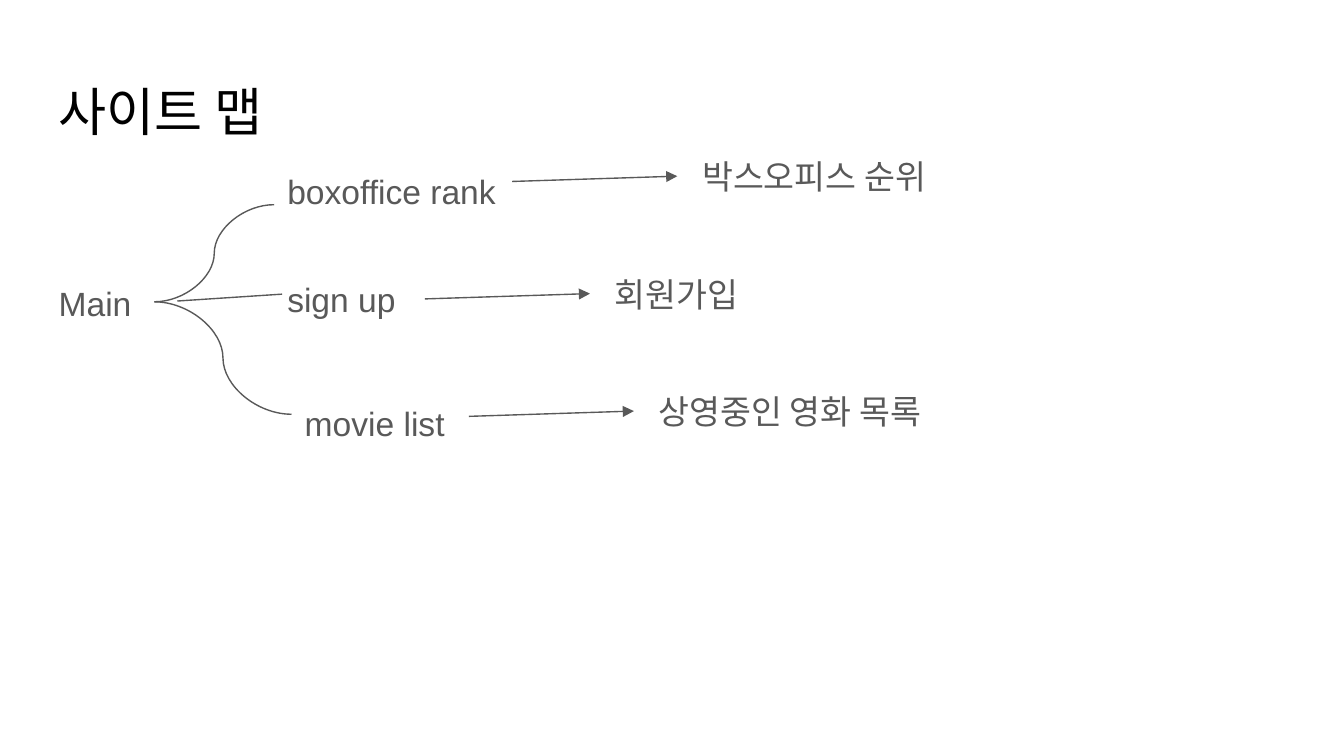
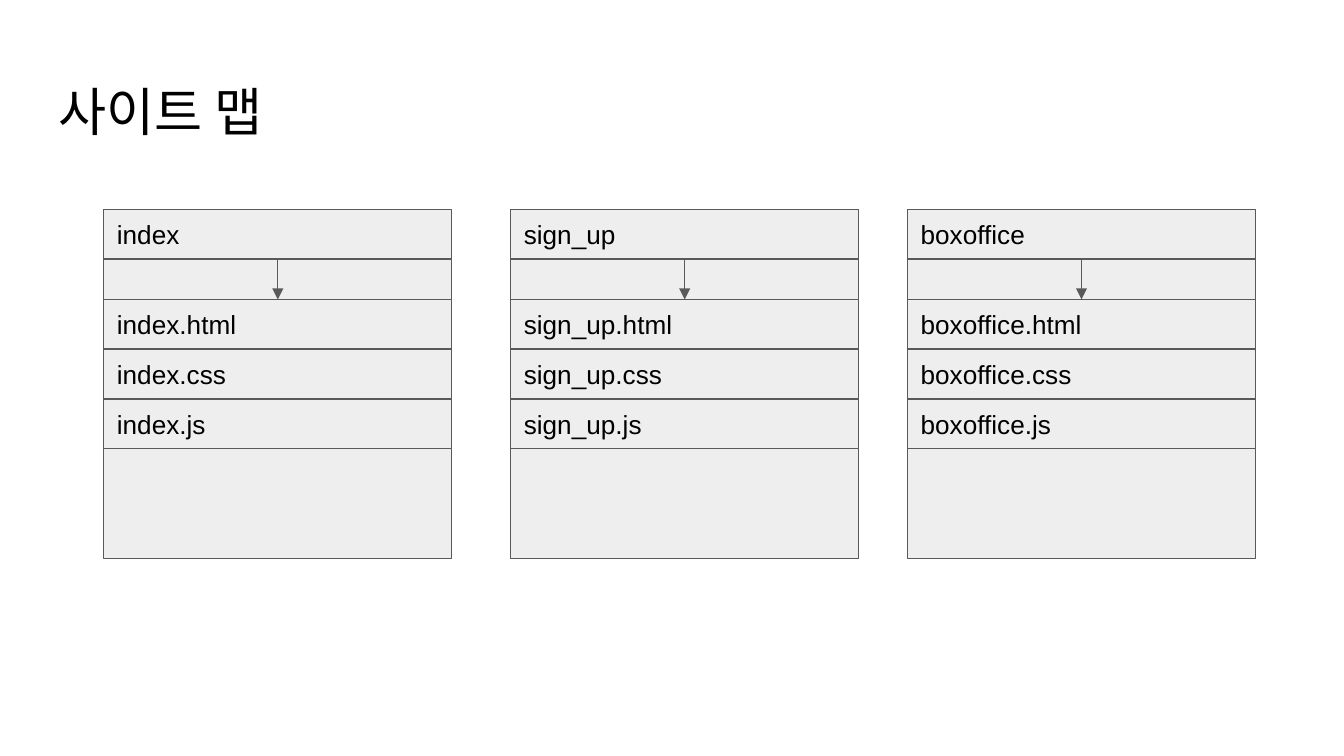
from collections import namedtuple
from dataclasses import dataclass

from lxml import etree
from pptx import Presentation
from pptx.dml.color import RGBColor
from pptx.enum.shapes import MSO_CONNECTOR, MSO_SHAPE
from pptx.enum.text import MSO_ANCHOR, MSO_AUTO_SIZE, PP_ALIGN
from pptx.oxml.ns import qn
from pptx.util import Cm, Pt

STRAIGHT, CURVE = MSO_CONNECTOR.STRAIGHT, MSO_CONNECTOR.CURVE
RECT = MSO_SHAPE.RECTANGLE
TOP, MIDDLE = MSO_ANCHOR.TOP, MSO_ANCHOR.MIDDLE
LEFT = PP_ALIGN.LEFT
NO_FIT = MSO_AUTO_SIZE.NONE
TOP_SIDE, LEFT_SIDE, BOTTOM_SIDE, RIGHT_SIDE = range(4)
TITLE_ONLY = 5


@dataclass(frozen=True)
class Theme:
    font: str = "Arial"
    black: RGBColor = RGBColor(0x00, 0x00, 0x00)
    gray: RGBColor = RGBColor(0x59, 0x59, 0x59)
    panel: RGBColor = RGBColor(0xEE, 0xEE, 0xEE)
    title_size: Pt = Pt(28)
    label_size: Pt = Pt(18)
    row_size: Pt = Pt(14)
    line: Pt = Pt(0.75)
    inset: Cm = Cm(0.25)


THEME = Theme()
Box = namedtuple("Box", "x y w h")
Page = namedtuple("Page", "name label_box arrow_x result")

TITLE_BOX = Box(Cm(0.86), Cm(1.24), Cm(23.67), Cm(1.6))
MAP_BOX = Box(Cm(0.86), Cm(2.59), Cm(23.67), Cm(8))

# Label boxes and arrow starts are measured from the corner of the map.
PAGES = [
    Page("boxoffice rank", Box(Cm(4.32), Cm(0.28), Cm(5.2), Cm(2)),
         Cm(8.82), "박스오피스 순위"),
    Page("sign up", Box(Cm(4.32), Cm(2.31), Cm(4.78), Cm(2.1)),
         Cm(7.17), "회원가입"),
    Page("movie list", Box(Cm(4.65), Cm(4.67), Cm(4.78), Cm(1.14)),
         Cm(8), "상영중인 영화 목록"),
]
CARDS = [("index", Cm(1.96)), ("sign_up", Cm(9.65)), ("boxoffice", Cm(17.15))]


def write(sp, text, size, color, anchor=TOP):
    tf = sp.text_frame
    tf.word_wrap = True
    tf.auto_size = NO_FIT
    tf.vertical_anchor = anchor
    tf.margin_left = tf.margin_right = THEME.inset
    tf.margin_top = tf.margin_bottom = THEME.inset
    p = tf.paragraphs[0]
    p.alignment = LEFT
    r = p.add_run()
    r.text = text
    r.font.name = THEME.font
    r.font.size = size
    r.font.color.rgb = color
    return p


def add_titled_slide(prs, title):
    s = prs.slides.add_slide(prs.slide_layouts[TITLE_ONLY])
    sp = s.shapes.title
    sp.left, sp.top, sp.width, sp.height = TITLE_BOX
    write(sp, title, THEME.title_size, THEME.black)
    return s


def add_label(s, text, box):
    sp = s.shapes.add_textbox(*box)
    p = write(sp, text, THEME.label_size, THEME.gray)
    p.line_spacing = 1.15
    p.space_after = Pt(16)
    return sp


def add_line(s, kind=STRAIGHT, ends=(0, 0, 0, 0), arrow=False):
    line = s.shapes.add_connector(kind, *ends)
    line.line.color.rgb = THEME.gray
    line.line.width = THEME.line
    if arrow:
        etree.SubElement(line.line._get_or_add_ln(), qn("a:tailEnd"),
                         type="triangle")
    etree.SubElement(line._element.spPr, qn("a:effectLst"))
    return line


def join(line, start, start_side, end, end_side):
    line.begin_connect(start, start_side)
    line.end_connect(end, end_side)


def add_panel(s, box, text=None):
    sp = s.shapes.add_shape(RECT, *box)
    sp.shadow.inherit = False
    sp.fill.solid()
    sp.fill.fore_color.rgb = THEME.panel
    sp.line.color.rgb = THEME.gray
    sp.line.width = THEME.line
    if text:
        write(sp, text, THEME.row_size, THEME.black, MIDDLE)
    return sp


def add_site_map(s, box):
    """Main on the left, its pages in the middle, what they show on the right."""
    row_pitch, arrow_top = Cm(2.22), Cm(0.84)
    arrow_run, arrow_rise, result_gap = Cm(3.12), Cm(0.1), Cm(0.22)
    root = add_label(s, "Main", Box(box.x, box.y + Cm(2.39), Cm(2.06), Cm(1.45)))

    for i, page in enumerate(PAGES):
        x, y, w, h = page.label_box
        label = add_label(s, page.name, Box(box.x + x, box.y + y, w, h))
        if i == 1:
            add_line(s, ends=(box.x + Cm(2.49), box.y + Cm(3.1),
                              box.x + Cm(4.47), box.y + Cm(2.97)))
        else:
            join(add_line(s, CURVE), root, RIGHT_SIDE, label, LEFT_SIDE)

        top = box.y + i * row_pitch
        start_x, start_y = box.x + page.arrow_x, top + arrow_top
        end_x = start_x + arrow_run
        add_line(s, ends=(start_x, start_y, end_x, start_y - arrow_rise),
                 arrow=True)
        add_label(s, page.result, Box(end_x + result_gap, top, Cm(7.32), Cm(2.26)))


def add_file_card(s, name, box):
    """A page name with an arrow down to the files that make it up."""
    row_h, gap = Cm(0.94), Cm(0.76)
    add_panel(s, box)
    header = add_panel(s, Box(box.x, box.y, box.w, row_h), name)
    files_top = box.y + row_h + gap
    files = [
        add_panel(s, Box(box.x, files_top + i * row_h, box.w, row_h),
                  f"{name}.{ext}")
        for i, ext in enumerate(("html", "css", "js"))
    ]
    join(add_line(s, arrow=True), header, BOTTOM_SIDE, files[0], TOP_SIDE)


def main():
    prs = Presentation()
    prs.slide_width, prs.slide_height = Cm(25.4), Cm(14.29)

    s = add_titled_slide(prs, "사이트 맵")
    add_site_map(s, MAP_BOX)

    s = add_titled_slide(prs, "사이트 맵")
    for name, x in CARDS:
        add_file_card(s, name, Box(x, Cm(3.96), Cm(6.58), Cm(6.6)))

    prs.save("out.pptx")


if __name__ == "__main__":
    main()
